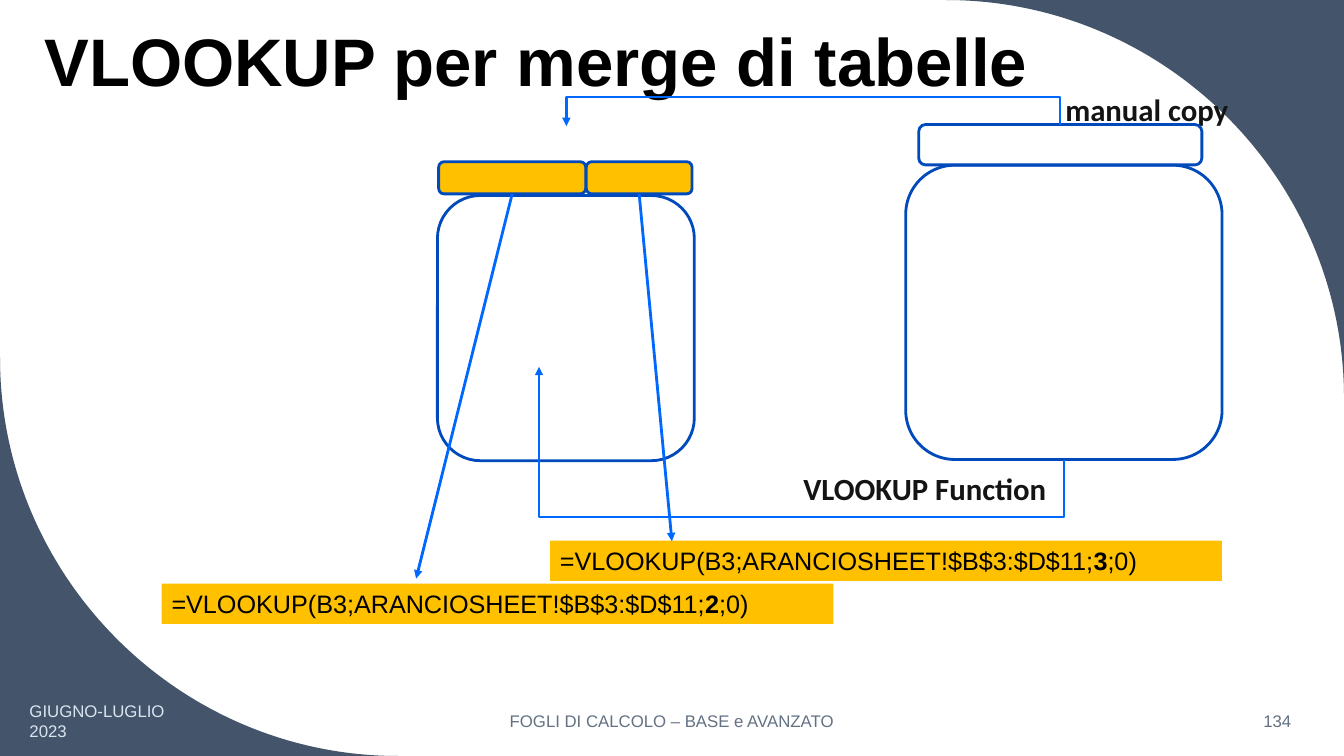
from pptx import Presentation
from pptx import util as u
from pptx.dml.color import RGBColor
from pptx.enum import shapes as kinds, text as txt
from pptx.oxml.ns import qn
from lxml import etree

Pt = u.Pt
SLIDE_W, SLIDE_H, CURVE_R = 960.5, 540, 284.5
NAVY, OUTLINE, ARROW, ORANGE = "44546A", "004ABC", "0068FF", "FFC000"
LEFT, CENTER, RIGHT = txt.PP_ALIGN.LEFT, txt.PP_ALIGN.CENTER, txt.PP_ALIGN.RIGHT
TOP, MIDDLE, BOTTOM = txt.MSO_ANCHOR.TOP, txt.MSO_ANCHOR.MIDDLE, txt.MSO_ANCHOR.BOTTOM

prs = Presentation()
prs.slide_width, prs.slide_height = Pt(SLIDE_W), Pt(SLIDE_H)
slide = prs.slides.add_slide(prs.slide_layouts[5])
shapes = slide.shapes


def color(hex_value):
    return RGBColor.from_string(hex_value)


def write(frame, runs, color_hex, align=LEFT, anchor=TOP, **font):
    """Fill a text frame with one paragraph of (text, bold) runs."""
    frame.word_wrap, frame.vertical_anchor = True, anchor
    paragraph = frame.paragraphs[0]
    paragraph.alignment = align
    for words, bold in runs:
        run = paragraph.add_run()
        run.text = words
        for key, value in dict(font, bold=bold).items():
            setattr(run.font, key, value)
        run.font.color.rgb = color(color_hex)


# Quarter-circle cut-outs in the top right and bottom left corners
for corner_x, corner_y, inward in [(SLIDE_W, 0, 1), (0, SLIDE_H, -1)]:
    reach, handle = inward * CURVE_R, inward * CURVE_R * 0.45
    outline = shapes.build_freeform(corner_x, corner_y, scale=Pt(1))
    outline = shapes.build_freeform(corner_x * 100, corner_y * 100, scale=127)
    outline.add_line_segments([(x * 100, y * 100) for x, y in [
        (corner_x - reach, corner_y), (corner_x - handle, corner_y),
        (corner_x, corner_y + handle), (corner_x, corner_y + reach)]], close=True)
    curve = outline.convert_to_shape()
    # The last three segments become one Bézier curve
    segments = list(curve._element.iter(qn("a:lnTo")))[1:]
    bezier = etree.Element(qn("a:cubicBezTo"))
    segments[0].addprevious(bezier)
    for segment in segments:
        bezier.append(segment[0])
        segment.getparent().remove(segment)
    curve.shadow.inherit = False
    curve.fill.solid()
    curve.fill.fore_color.rgb = color(NAVY)
    curve.line.fill.background()

title = shapes.title
for key, value in dict(left=24.5, top=-28.8, width=802, height=104.4).items():
    setattr(title, key, Pt(value))
write(title.text_frame, [("VLOOKUP per merge di tabelle", True)], "000000",
      anchor=BOTTOM, name="Arial", size=Pt(48))
title.text_frame.auto_size = txt.MSO_AUTO_SIZE.NONE
title.text_frame.paragraphs[0].line_spacing = 0.9

for words, left, width, align, shade in [
    ("GIUGNO-LUGLIO 2023", 14, 133.9, LEFT, "DAE5EF"),
    ("FOGLI DI CALCOLO – BASE e AVANZATO", 318.2, 324, CENTER, "637183"),
    ("134", 799.6, 130.3, RIGHT, "637183"),
]:
    footer = shapes.add_textbox(Pt(left), Pt(500.4), Pt(width), Pt(28.8))
    write(footer.text_frame, [(words, False)], shade, align, MIDDLE,
          name="Arial", size=Pt(12))

for words, left, top, width in [
    ("manual copy", 754.2, 61.2, 142.6),
    ("VLOOKUP Function", 567, 331.9, 215.3),
]:
    label = shapes.add_textbox(Pt(left), Pt(top), Pt(width), Pt(60.5))
    write(label.text_frame, [(words, True)], "141414", name="Calibri", size=Pt(22))

# Tables: source header and body, then the merged body and its two new columns
table_parts = []
for box, fill in [
    ((656.6, 89, 202.3, 28.8), None),
    ((647.3, 118, 226.1, 210.2), None),
    ((312.6, 139.7, 183.6, 189.4), None),
    ((313.5, 115.5, 105.1, 23), ORANGE),
    ((419, 115.5, 75.6, 23), ORANGE),
]:
    part = shapes.add_shape(kinds.MSO_SHAPE.ROUNDED_RECTANGLE, *map(Pt, box))
    part.shadow.inherit = False
    part.adjustments[0] = 0.167
    if fill:
        part.fill.solid()
        part.fill.fore_color.rgb = color(fill)
    else:
        part.fill.background()
    part.line.color.rgb = color(OUTLINE)
    part.line.width = Pt(2)
    table_parts.append(part)
second_column, third_column = table_parts[-2:]

for column, left, top in [("2", 115.5, 416.9), ("3", 393.1, 386.2)]:
    formula = shapes.add_shape(kinds.MSO_SHAPE.RECTANGLE,
                               Pt(left), Pt(top), Pt(480.2), Pt(28.8))
    formula.shadow.inherit = False
    formula.fill.solid()
    formula.fill.fore_color.rgb = color(ORANGE)
    formula.line.fill.background()
    write(formula.text_frame,
          [("=VLOOKUP(B3;ARANCIOSHEET!$B$3:$D$11;", False), (column, True), (";0)", False)],
          "000000", name="Arial", size=Pt(18))

arrows = []
for column, end in [(second_column, (297.4, 413.3)), (third_column, (480.2, 386.6))]:
    arrow = shapes.add_connector(kinds.MSO_CONNECTOR.STRAIGHT, 0, 0, *map(Pt, end))
    arrow.begin_connect(column, 2)
    arrows.append((arrow, 2))

# Elbows are laid out upright, then turned a quarter, so width is the vertical reach
for start, end, preset, turn, bends in [
    ((757.6, 89.3), (404.8, 90.1), "bentConnector3", {"rot": 90}, [-25.2]),
    ((760.3, 328.3), (385.2, 262.1), "bentConnector4", {"rot": 270, "flipV": 1}, [-0.62, 1]),
]:
    reach, span = abs(end[1] - start[1]), abs(end[0] - start[0])
    left = (start[0] + end[0] - reach) / 2
    top = (start[1] + end[1] - span) / 2
    elbow = shapes.add_connector(kinds.MSO_CONNECTOR.ELBOW, Pt(left), Pt(top),
                                 Pt(left + reach), Pt(top + span))
    xfrm = elbow._element.spPr.find(qn("a:xfrm"))
    xfrm.set("rot", str(turn["rot"] * 60000))
    if "flipV" in turn:
        xfrm.set("flipV", "1")
    geometry = elbow._element.spPr.find(qn("a:prstGeom"))
    geometry.set("prst", preset)
    for number, bend in enumerate(bends, 1):
        etree.SubElement(geometry.find(qn("a:avLst")), qn("a:gd"),
                         name=f"adj{number}", fmla=f"val {round(bend * 100000)}")
    arrows.append((elbow, 1.75))

for arrow, weight in arrows:
    arrow.line.color.rgb = color(ARROW)
    arrow.line.width = Pt(weight)
    properties = arrow._element.spPr
    etree.SubElement(properties.find(qn("a:ln")), qn("a:tailEnd"), type="triangle")
    etree.SubElement(properties, qn("a:effectLst"))

prs.save("out.pptx")
